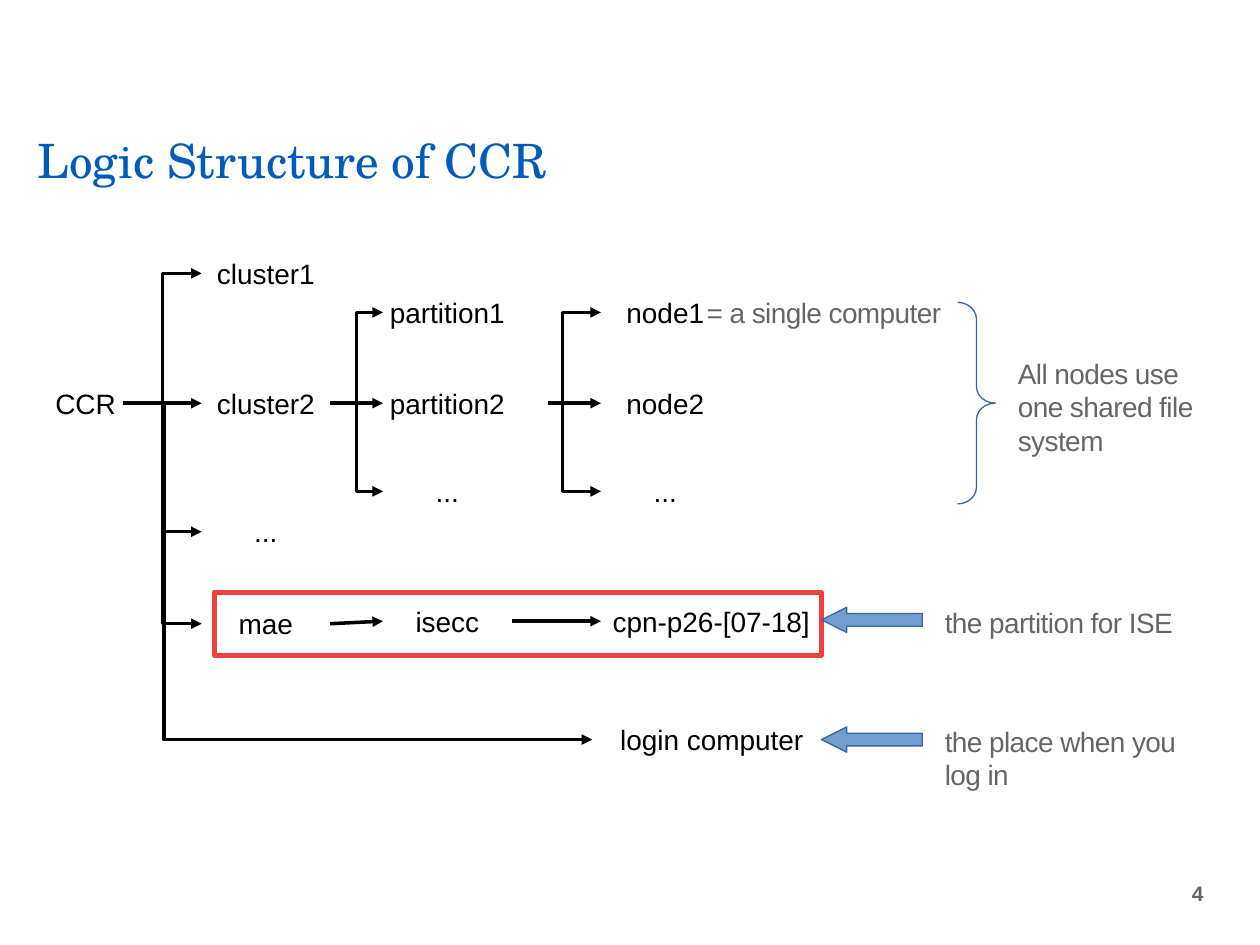
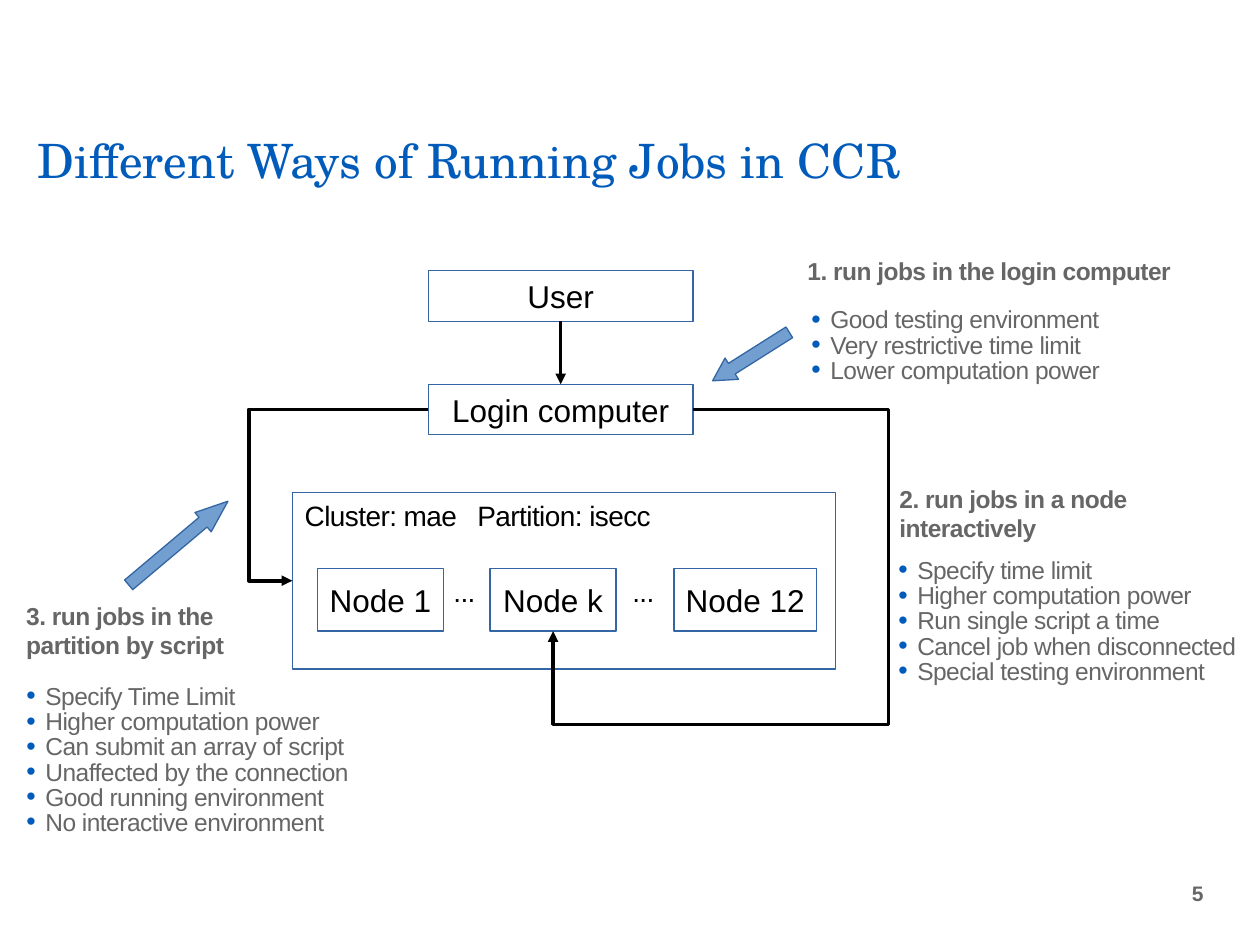
from lxml import etree
from pptx import Presentation
from pptx.dml.color import RGBColor
from pptx.enum.shapes import MSO_CONNECTOR, MSO_SHAPE
from pptx.enum.text import MSO_ANCHOR, MSO_AUTO_SIZE, PP_ALIGN
from pptx.oxml.ns import qn
from pptx.util import Inches, Pt

RECT, ROUNDED = MSO_SHAPE.RECTANGLE, MSO_SHAPE.ROUNDED_RECTANGLE
LEFT_ARROW, RIGHT_BRACE = MSO_SHAPE.LEFT_ARROW, MSO_SHAPE.RIGHT_BRACE
STRAIGHT, ELBOW = MSO_CONNECTOR.STRAIGHT, MSO_CONNECTOR.ELBOW
TOP, LEFT, BOTTOM, RIGHT = range(4)

BLUE, GRAY, BLACK, RED = "005BBB", "666666", "000000", "EF413D"
OUTLINE, ARROW_FILL = "3465A4", "729FCF"
BODY_FONT, TITLE_FONT = "Arial", "TeX Gyre Schola"
HAIRLINE = 0
TIGHT = -30  # letter spacing, hundredths of a point


def rgb(value):
    return RGBColor.from_string(value)


def sub(parent, tag, **attrs):
    return etree.SubElement(parent, qn(tag), **attrs)


def style(p, size, color=BLACK, bold=False, name=BODY_FONT, spacing=0):
    font = p.font
    font.size, font.name, font.bold = Pt(size), name, bold
    font.color.rgb = rgb(color)
    if spacing:
        p._p.pPr.find(qn("a:defRPr")).set("spc", str(spacing))


def title_slide(prs, title, number):
    s = prs.slides.add_slide(prs.slide_layouts[5])
    sp = s.shapes.title
    sp.left, sp.top, sp.width, sp.height = map(Inches, (0.2, 1.02, 9.04, 0.52))
    tf = sp.text_frame
    tf.text = title
    tf.auto_size = MSO_AUTO_SIZE.NONE
    tf.vertical_anchor = MSO_ANCHOR.BOTTOM
    p = tf.paragraphs[0]
    p.alignment, p.line_spacing = PP_ALIGN.LEFT, 0.8
    style(p, 27, BLUE, name=TITLE_FONT)

    tf = text_box(s, 9.06, 6.8, 0.59, 0.58)
    tf.vertical_anchor = MSO_ANCHOR.MIDDLE
    p = tf.paragraphs[0]
    p.text, p.alignment = str(number), PP_ALIGN.RIGHT
    style(p, 12, GRAY, bold=True)
    return s


def text_box(s, x, y, w, h):
    tf = s.shapes.add_textbox(*map(Inches, (x, y, w, h))).text_frame
    tf.word_wrap = True
    return tf


def note(s, text, x, y, w, h, size=16, color=GRAY, bold=False):
    p = text_box(s, x, y, w, h).paragraphs[0]
    p.text = text
    style(p, size, color, bold, spacing=TIGHT)
    return p


def bullets(s, items, x, y, w, h):
    tf = text_box(s, x, y, w, h)
    tf.margin_left = tf.margin_right = Inches(0.2)
    for i, item in enumerate(items):
        p = tf.add_paragraph() if i else tf.paragraphs[0]
        p.text = item
        p.line_spacing, p.space_before = Pt(11.5), Pt(2.9 if i else 0)
        pPr = p._p.get_or_add_pPr()
        pPr.set("marL", str(Inches(0.15)))
        pPr.set("indent", str(-Inches(0.15)))
        sub(sub(pPr, "a:buClr"), "a:srgbClr", val=BLUE)
        sub(pPr, "a:buSzPct", val="109000")
        sub(pPr, "a:buFont", typeface=BODY_FONT)
        sub(pPr, "a:buChar", char="•")
        style(p, 14, GRAY, spacing=TIGHT)


def shape(s, kind, x, y, w, h, fill=None, line=None, line_width=HAIRLINE):
    sp = s.shapes.add_shape(kind, *map(Inches, (x, y, w, h)))
    sp.shadow.inherit = False
    if fill:
        sp.fill.solid()
        sp.fill.fore_color.rgb = rgb(fill)
    else:
        sp.fill.background()
    if line:
        sp.line.color.rgb = rgb(line)
        sp.line.width = Pt(line_width)
    else:
        sp.line.fill.background()
    return sp


def centred_text(sp, text, size):
    tf = sp.text_frame
    tf.word_wrap = False
    tf.vertical_anchor = MSO_ANCHOR.MIDDLE
    p = tf.paragraphs[0]
    p.text, p.alignment = text, PP_ALIGN.CENTER
    style(p, size)
    return sp


def label(s, text, x, y, w=1.02):
    return centred_text(shape(s, ROUNDED, x, y, w, 0.3), text, 16)


def box(s, text, x, y, w, h):
    return centred_text(shape(s, RECT, x, y, w, h, line=OUTLINE), text, 18)


def block_arrow(s, x, y, w, head, rotation=0):
    sp = shape(s, LEFT_ARROW, x, y, w, 0.2, ARROW_FILL, OUTLINE)
    sp.adjustments[1] = head
    sp.rotation = rotation


def side_point(sp, side):
    x = {LEFT: 0, RIGHT: sp.width}.get(side, sp.width // 2)
    y = {TOP: 0, BOTTOM: sp.height}.get(side, sp.height // 2)
    return sp.left + x, sp.top + y


def arrow(s, start, end, bends=()):
    """Join (shape, side) ends, or a bare (x, y) start in inches; bends are elbow fractions."""
    glued = not isinstance(start[0], (int, float))
    begin = side_point(*start) if glued else tuple(map(Inches, start))
    c = s.shapes.add_connector(ELBOW if bends else STRAIGHT, *begin, *side_point(*end))
    if glued:
        c.begin_connect(*start)
    c.end_connect(*end)
    c.line.color.rgb = rgb(BLACK)
    c.line.width = HAIRLINE
    spPr = c._element.spPr
    sub(c.line._get_or_add_ln(), "a:tailEnd", type="triangle")
    sub(spPr, "a:effectLst")
    if bends:
        geom = spPr.find(qn("a:prstGeom"))
        geom.set("prst", f"bentConnector{len(bends) + 2}")
        guides = geom.find(qn("a:avLst"))
        for i, bend in enumerate(bends, 1):
            sub(guides, "a:gd", name=f"adj{i}", fmla=f"val {round(bend * 100000)}")


def branch(s, start, targets, bend):
    """Arrows from one start to the left side of each target, straight where level."""
    for target, level in targets:
        arrow(s, start, (target, LEFT), () if level else (bend,))


def logic_structure(prs):
    s = title_slide(prs, "Logic Structure of CCR", 4)
    ccr = label(s, "CCR", 0.38, 3.05, 0.6)
    clusters = [label(s, text, 1.6, y) for text, y in
                (("cluster1", 2.02), ("cluster2", 3.05), ("...", 4.07), ("mae", 4.8))]
    rows = (2.33, 3.05, 3.75)
    partitions = [label(s, text, 3.04, y)
                  for text, y in zip(("partition1", "partition2", "..."), rows)]
    nodes = [label(s, text, 4.77, y)
             for text, y in zip(("node1", "node2", "..."), rows)]
    isecc = label(s, "isecc", 3.04, 4.78)
    node_range = label(s, "cpn-p26-[07-18]", 4.77, 4.78, 1.75)
    login = label(s, "login computer", 4.7, 5.72, 1.9)

    level = (False, True, False, False)
    branch(s, (ccr, RIGHT), zip(clusters, level), 0.5)
    branch(s, (clusters[1], RIGHT), zip(partitions, level), 0.5)
    branch(s, (4.35, 3.2), zip(nodes, level), 0.27)
    arrow(s, (ccr, RIGHT), (login, LEFT), (0.086,))
    arrow(s, (clusters[3], RIGHT), (isecc, LEFT))
    arrow(s, (isecc, RIGHT), (node_range, LEFT))

    shape(s, RECT, 1.7, 4.7, 4.82, 0.5, line=RED, line_width=2.89)
    brace = shape(s, RIGHT_BRACE, 7.6, 2.4, 0.3, 1.6, line=OUTLINE)
    brace.adjustments[0] = 0.44
    for y in (4.82, 5.77):
        block_arrow(s, 6.52, y, 0.8, 1)
    note(s, "= a single computer", 5.51, 2.3, 2.68, 0.35)
    note(s, "All nodes use one shared file system", 7.98, 2.78, 1.68, 0.9)
    note(s, "the partition for ISE", 7.4, 4.76, 2.1, 0.35)
    note(s, "the place when you log in", 7.4, 5.7, 2.1, 0.59)


def running_jobs(prs):
    s = title_slide(prs, "Different Ways of Running Jobs in CCR", 5)
    user = box(s, "User", 3.4, 2.15, 2.1, 0.4)
    login = box(s, "Login computer", 3.4, 3.05, 2.1, 0.4)
    cluster = shape(s, RECT, 2.32, 3.91, 4.31, 1.4, line=OUTLINE)
    _, node_k, _ = [box(s, text, x, 4.51, w, 0.5) for text, x, w in
                    (("Node 1", 2.52, 1), ("Node k", 3.89, 1), ("Node 12", 5.35, 1.13))]
    for x in (3.5, 4.92):
        note(s, "...", x, 4.51, 0.5, 0.4, color=BLACK)
    p = note(s, "Cluster: mae\tPartition: isecc", 2.32, 3.91, 4.28, 0.4, color=BLACK)
    tabs = etree.Element(qn("a:tabLst"))
    sub(tabs, "a:tab", pos=str(Inches(1.37)), algn="l")
    p._p.pPr.find(qn("a:defRPr")).addprevious(tabs)

    arrow(s, (user, BOTTOM), (login, TOP))
    arrow(s, (login, LEFT), (cluster, LEFT), (1.32,))
    arrow(s, (login, RIGHT), (node_k, BOTTOM), (-1.4, 1.42))
    block_arrow(s, 5.6, 2.73, 0.72, 0.9, 327.7)
    block_arrow(s, 0.9, 4.21, 1.03, 1.29, 139.9)

    ways = (
        ("1. run jobs in the login computer", (6.31, 1.98, 3.57, 0.37),
         ("Good testing environment", "Very restrictive time limit",
          "Lower computation power"), (6.24, 2.44, 3.54, 0.7)),
        ("2. run jobs in a node interactively", (7.04, 3.79, 2.1, 0.54),
         ("Specify time limit", "Higher computation power", "Run single script a time",
          "Cancel job when disconnected", "Special testing environment"),
         (6.93, 4.43, 3.09, 1.47)),
        ("3. run jobs in the partition by script", (0.11, 4.72, 1.79, 0.54),
         ("Specify Time Limit", "Higher computation power", "Can submit an array of script",
          "Unaffected by the connection", "Good running environment",
          "No interactive environment"), (0.01, 5.43, 3.09, 1.36)),
    )
    for heading, heading_at, items, items_at in ways:
        note(s, heading, *heading_at, size=14, bold=True)
        bullets(s, items, *items_at)


def main():
    prs = Presentation()
    prs.slide_width, prs.slide_height = Inches(10), Inches(7.5)
    logic_structure(prs)
    running_jobs(prs)
    prs.save("out.pptx")


if __name__ == "__main__":
    main()
